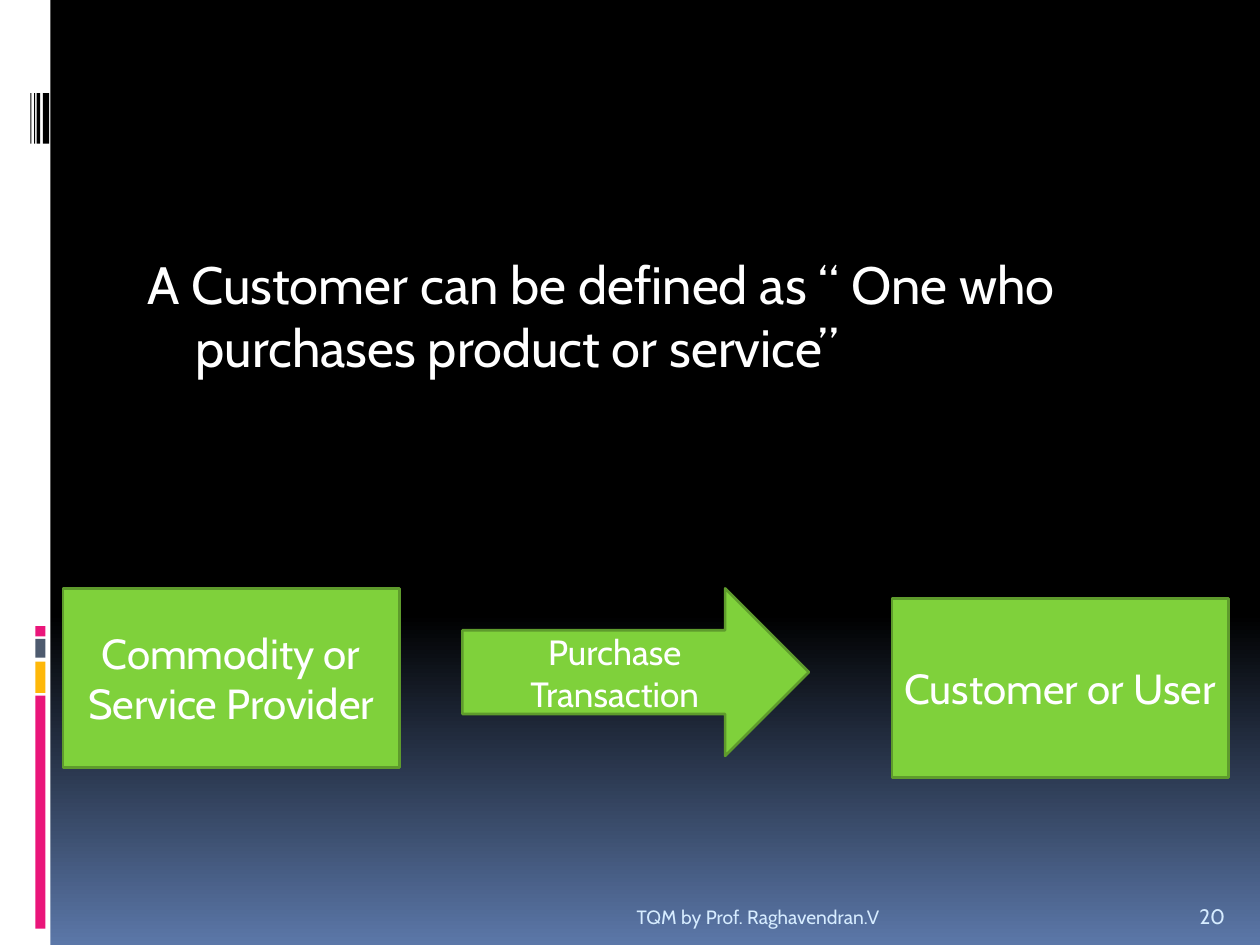
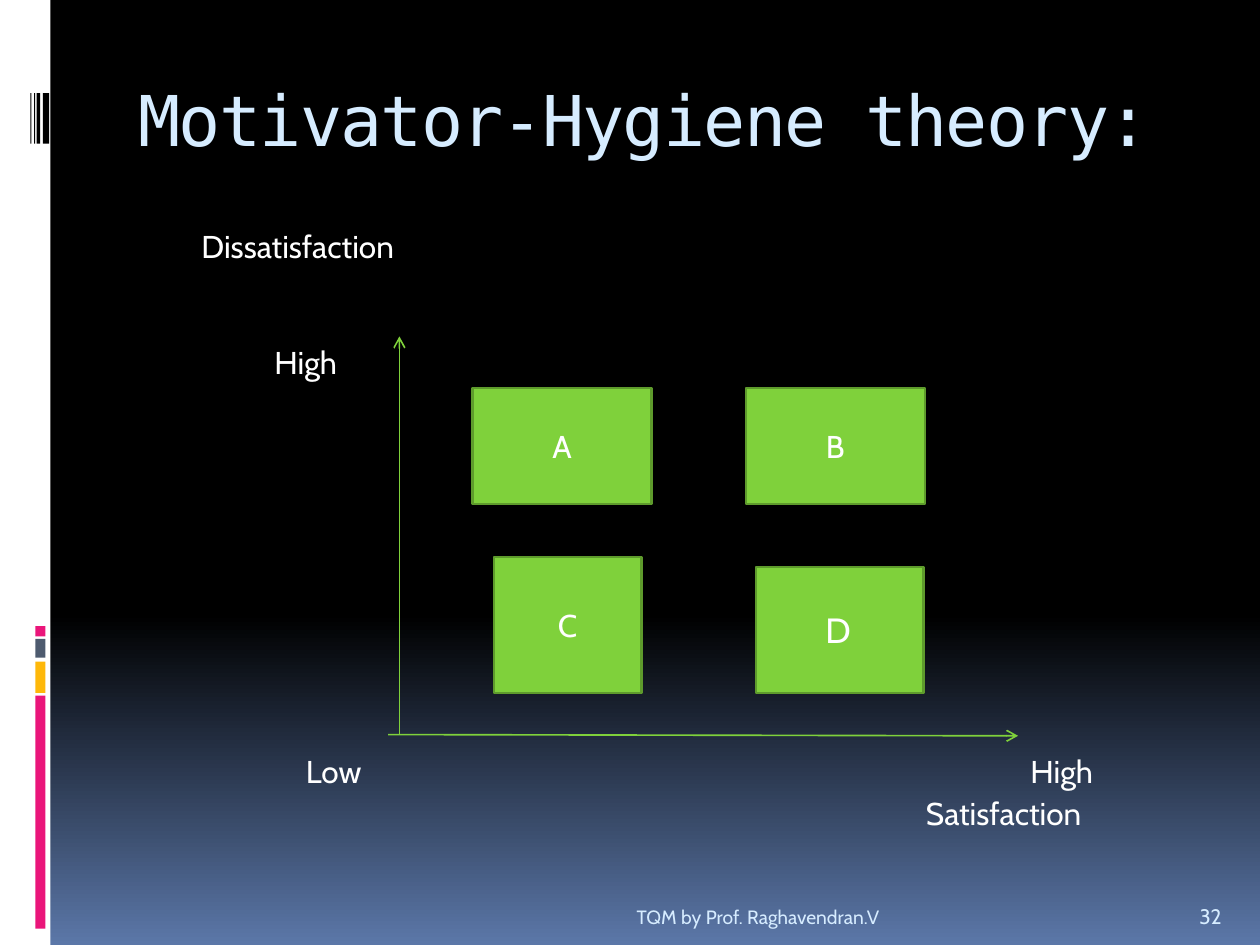
from copy import deepcopy
from dataclasses import dataclass

from lxml import etree
from pptx import Presentation
from pptx.dml.color import RGBColor
from pptx.enum.shapes import MSO_CONNECTOR as Connector, MSO_SHAPE as Preset
from pptx.enum.text import MSO_ANCHOR as Anchor, MSO_AUTO_SIZE as AutoSize, PP_ALIGN as Align
from pptx.oxml.ns import qn
from pptx.util import Inches, Pt

# Shared look
BLACK = RGBColor(0x00, 0x00, 0x00)
WHITE = RGBColor(0xFF, 0xFF, 0xFF)
BLUE = RGBColor(0x5B, 0x77, 0xA8)
PALE_BLUE = RGBColor(0xD6, 0xEC, 0xFF)
SLATE = RGBColor(0x4E, 0x5B, 0x6F)
PINK = RGBColor(0xEA, 0x15, 0x7A)
AMBER = RGBColor(0xFE, 0xB8, 0x0A)
GREEN = RGBColor(0x7F, 0xD1, 0x3B)
DARK_GREEN = RGBColor(0x5E, 0x9B, 0x2C)
BODY_FONT = "Cabin"
TITLE_FONT = "DejaVu Sans Mono"
FOOTER = "TQM by Prof. Raghavendran.V"


@dataclass(frozen=True)
class Area:
    left: float
    top: float
    width: float
    height: float

    def lengths(self) -> list:
        return [Inches(n) for n in (self.left, self.top, self.width, self.height)]


@dataclass(frozen=True)
class Band:
    area: Area
    color: RGBColor


@dataclass(frozen=True)
class Box:
    text: str
    area: Area
    size: int
    preset: Preset = Preset.FLOWCHART_PROCESS


@dataclass(frozen=True)
class Label:
    text: str
    area: Area


@dataclass(frozen=True)
class Axis:
    start: tuple[float, float]
    end: tuple[float, float]


# Side strip, its coloured bars and the barcode
BANDS = (
    [Band(Area(0, 0, 0.4, 7.5), WHITE)]
    + [Band(Area(0.28, top, 0.08, height), color) for top, height, color in (
        (5.52, 1.85, PINK), (5.25, 0.25, AMBER), (5.07, 0.15, SLATE), (4.97, 0.08, PINK))]
    + [Band(Area(left, 0.74, width, 0.4), BLACK) for left, width in (
        (0.34, 0.05), (0.29, 0.03), (0.27, 0.01), (0.24, 0.01))]
)

# Slide content
PURCHASE_FLOW = [
    Box("Commodity or Service Provider", Area(0.5, 4.67, 2.67, 1.42), 24),
    Box("Customer or User", Area(7.08, 4.75, 2.67, 1.42), 24),
    Box("Purchase Transaction", Area(3.67, 4.67, 2.75, 1.33), 20, Preset.RIGHT_ARROW),
]
QUADRANTS = [
    Box("A", Area(3.75, 3.08, 1.42, 0.92), 18),
    Box("B", Area(5.92, 3.08, 1.42, 0.92), 18),
    Box("C", Area(3.92, 4.42, 1.17, 1.08), 18),
]
QUADRANT_D = Area(6, 4.5, 1.33, 1)
AXES = [Axis((3.17, 5.83), (3.17, 2.67)), Axis((3.08, 5.83), (8.08, 5.84))]
AXIS_LABELS = [
    Label("Satisfaction", Area(7.25, 6.25, 1.92, 0.4)),
    Label("Dissatisfaction", Area(1.5, 1.75, 3.08, 0.4)),
    Label("High", Area(2.08, 2.67, 0.75, 0.4)),
    Label("Low", Area(2.33, 5.92, 0.67, 0.4)),
    Label("High", Area(8.08, 5.92, 0.75, 0.4)),
]


def write(shape, text: str, *, size: int, color: RGBColor = WHITE, font: str = BODY_FONT,
          align: Align = Align.LEFT, anchor: Anchor = Anchor.TOP,
          fit: AutoSize = AutoSize.NONE):
    """Fill a shape with one formatted paragraph and return the paragraph."""
    frame = shape.text_frame
    frame.word_wrap = True
    frame.auto_size = fit
    frame.vertical_anchor = anchor
    paragraph = frame.paragraphs[0]
    paragraph.alignment = align
    run = paragraph.add_run()
    run.text = text
    run.font.size = Pt(size)
    run.font.name = font
    run.font.color.rgb = color
    return paragraph


def place(shape, area: Area) -> None:
    shape.left, shape.top, shape.width, shape.height = area.lengths()


def paint_green(shape) -> None:
    shape.fill.solid()
    shape.fill.fore_color.rgb = GREEN
    shape.line.color.rgb = DARK_GREEN
    shape.line.width = Pt(1.5)


def indent_list(paragraph, hanging: float) -> None:
    paragraph.space_before = Pt(7)
    properties = paragraph._p.get_or_add_pPr()
    properties.set("marL", str(Inches(0.45)))
    properties.set("indent", str(-Inches(hanging)))
    etree.SubElement(properties, qn("a:buNone"))


def add_text(slide, text: str, area: Area, **text_format) -> None:
    write(slide.shapes.add_textbox(*area.lengths()), text, **text_format)


def add_box(slide, box: Box) -> None:
    shape = slide.shapes.add_shape(box.preset, *box.area.lengths())
    shape.shadow.inherit = False
    paint_green(shape)
    write(shape, box.text, size=box.size, align=Align.CENTER, anchor=Anchor.MIDDLE)


def add_axis(slide, axis: Axis) -> None:
    points = [Inches(n) for n in axis.start + axis.end]
    connector = slide.shapes.add_connector(Connector.STRAIGHT, *points)
    connector.line.color.rgb = GREEN
    connector.line.width = Pt(0.94)
    etree.SubElement(connector.line._get_or_add_ln(), qn("a:tailEnd"), type="arrow")
    etree.SubElement(connector.element.spPr, qn("a:effectLst"))


def add_footer(slide, number: int) -> None:
    add_text(slide, FOOTER, Area(1, 7.02, 6.08, 0.4), size=11, color=PALE_BLUE,
             align=Align.RIGHT, anchor=Anchor.BOTTOM)
    add_text(slide, str(number), Area(9.42, 7.02, 0.5, 0.4), size=12, color=PALE_BLUE,
             anchor=Anchor.BOTTOM)


def dress_master(master, slide) -> None:
    """Give the master its gradient and bands; shapes are made on a slide, then moved."""
    fill = master.background.fill
    fill.gradient()
    fill.gradient_angle = 270
    first, last = fill.gradient_stops
    first.color.rgb, first.position = BLACK, 0
    last.color.rgb, last.position = BLUE, 1
    first_element = master.element.find(".//" + qn("p:bg")).find(".//" + qn("a:gs"))
    middle_element = deepcopy(first_element)
    middle_element.set("pos", "65000")
    first_element.addnext(middle_element)

    for band in BANDS:
        shape = slide.shapes.add_shape(Preset.RECTANGLE, *band.area.lengths())
        shape.shadow.inherit = False
        shape.fill.solid()
        shape.fill.fore_color.rgb = band.color
        shape.line.fill.background()
        master.shapes.element.append(shape.element)


def build_customer_slide(slide) -> None:
    title = slide.shapes.title.element
    title.getparent().remove(title)
    body = slide.placeholders[1]
    place(body, Area(1, 1.95, 8.5, 5))
    definition = write(
        body, "A Customer can be defined as “ One who purchases product or service”", size=30)
    indent_list(definition, hanging=0.38)
    add_footer(slide, 20)
    for box in PURCHASE_FLOW:
        add_box(slide, box)


def build_theory_slide(slide) -> None:
    title = slide.shapes.title
    place(title, Area(1, 0.56, 8.5, 1))
    heading = write(title, "Motivator-Hygiene theory:", size=40, color=PALE_BLUE,
                    font=TITLE_FONT)
    heading.runs[0].font._element.set("spc", "-100")
    add_footer(slide, 32)

    # Axes and quadrants
    for axis in AXES:
        add_axis(slide, axis)
    for box in QUADRANTS:
        add_box(slide, box)
    body = slide.placeholders[1]
    place(body, QUADRANT_D)
    paint_green(body)
    indent_list(write(body, "D", size=20, anchor=Anchor.MIDDLE), hanging=0)

    for label in AXIS_LABELS:
        add_text(slide, label.text, label.area, size=18, fit=AutoSize.SHAPE_TO_FIT_TEXT)


def main() -> None:
    presentation = Presentation()
    presentation.slide_width = Inches(10)
    presentation.slide_height = Inches(7.5)
    layout = presentation.slide_layouts[1]
    customer_slide, theory_slide = (presentation.slides.add_slide(layout) for _ in range(2))
    dress_master(presentation.slide_master, customer_slide)
    build_customer_slide(customer_slide)
    build_theory_slide(theory_slide)
    presentation.save("out.pptx")


if __name__ == "__main__":
    main()
